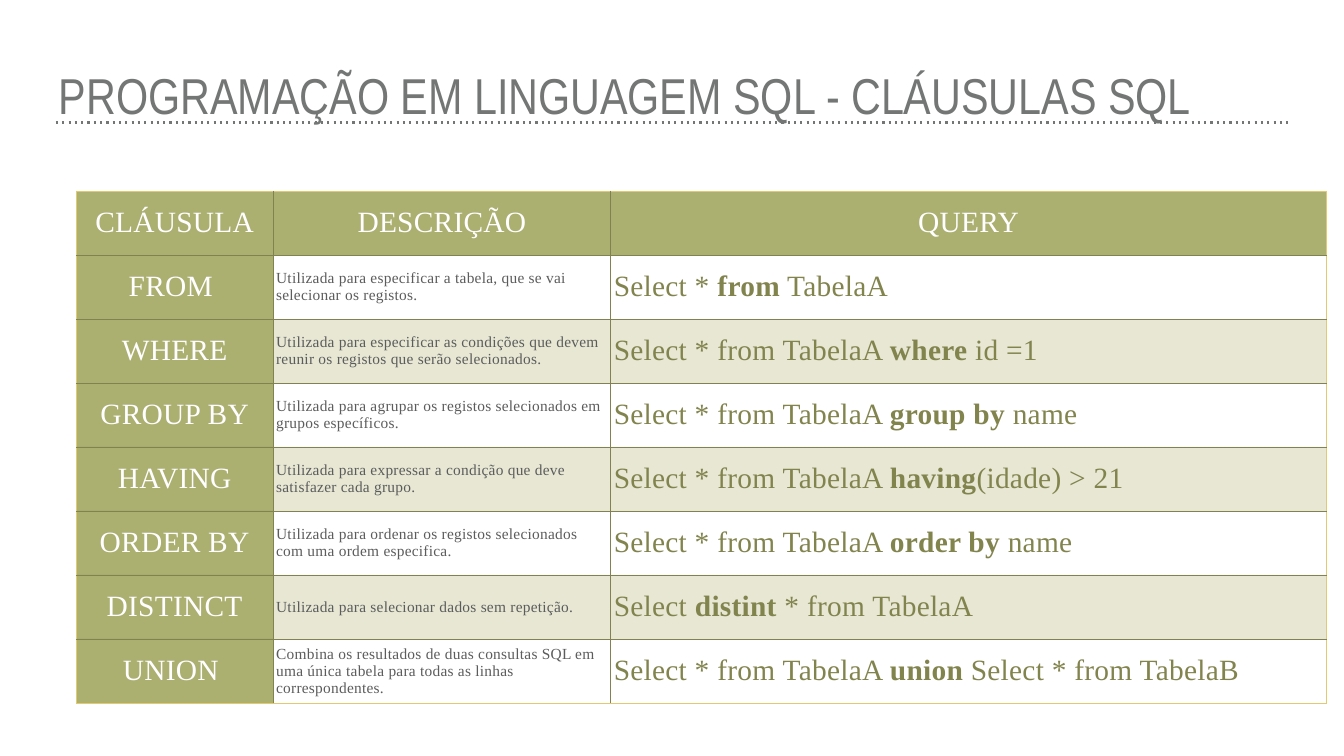
from dataclasses import dataclass

from lxml import etree
from pptx import Presentation
from pptx.dml.color import RGBColor
from pptx.enum import shapes, text
from pptx.oxml import ns
from pptx.util import Emu, Pt

PX = 9144

GREY = RGBColor(0x74, 0x76, 0x76)
WHITE = RGBColor(0xFF, 0xFF, 0xFF)
BODY_GREY = RGBColor(0x5C, 0x5C, 0x5C)
QUERY_GREEN = RGBColor(0x82, 0x84, 0x4E)
HEADER_GREEN = RGBColor(0x8F, 0x95, 0x41)
BAND_GREEN = RGBColor(0xA8, 0xA8, 0x61)
BORDER_OLIVE = RGBColor(0x80, 0x82, 0x51)
BORDER_GOLD = RGBColor(0xE4, 0xC9, 0x73)

TITLE_FONT = "Arial Narrow"
TABLE_FONT = "Times New Roman"
COLUMN_WIDTHS = (391, 670, 1420)
ROW_HEIGHT = 127
INSET = 6


@dataclass(frozen=True)
class Clause:
    name: str
    description: str
    before: str
    keyword: str
    after: str


@dataclass(frozen=True)
class TextStyle:
    size: int
    color: RGBColor
    align: text.PP_ALIGN


HEADINGS = ("CLÁUSULA", "DESCRIÇÃO", "QUERY")
SELECT_A = "Select * from TabelaA "
CLAUSES = (
    Clause("FROM ", "Utilizada para especificar a tabela, que se vai selecionar os registos.",
           "Select * ", "from", " TabelaA"),
    Clause("WHERE", "Utilizada para especificar as condições que devem reunir os registos "
           "que serão selecionados.", SELECT_A, "where ", "id =1"),
    Clause("GROUP BY", "Utilizada para agrupar os registos selecionados em grupos específicos.",
           SELECT_A, "group by ", "name"),
    Clause("HAVING", "Utilizada para expressar a condição que deve satisfazer cada grupo.",
           SELECT_A, "having", "(idade) > 21"),
    Clause("ORDER BY", "Utilizada para ordenar os registos selecionados com uma ordem especifica.",
           SELECT_A, "order by", " name"),
    Clause("DISTINCT", "Utilizada para selecionar dados sem repetição.",
           "Select ", "distint", " * from TabelaA"),
    Clause("UNION ", "Combina os resultados de duas consultas SQL em uma única tabela para "
           "todas as linhas correspondentes.", SELECT_A, "union", " Select * from TabelaB"),
)

HEADER_STYLE = TextStyle(42, WHITE, text.PP_ALIGN.CENTER)
DESCRIPTION_STYLE = TextStyle(22, BODY_GREY, text.PP_ALIGN.LEFT)
QUERY_STYLE = TextStyle(42, QUERY_GREEN, text.PP_ALIGN.LEFT)


def px(length: int) -> Emu:
    return Emu(length * PX)


def add_run(paragraph, content: str, font: str, size: int, color: RGBColor, bold: bool = False):
    run = paragraph.add_run()
    run.text = content
    run.font.name = font
    run.font.size = Pt(size)
    run.font.color.rgb = color
    run.font.bold = bold
    return run


def add_title(slide, content: str) -> None:
    title = slide.shapes.title
    title.left, title.top, title.width, title.height = px(111), px(111), px(2444), px(111)
    frame = title.text_frame
    frame.auto_size = text.MSO_AUTO_SIZE.NONE
    frame.vertical_anchor = text.MSO_ANCHOR.TOP
    frame.margin_left = frame.margin_right = px(INSET)
    frame.margin_top, frame.margin_bottom = px(17), px(0)
    paragraph = frame.paragraphs[0]
    paragraph.alignment = text.PP_ALIGN.LEFT
    add_run(paragraph, content, TITLE_FONT, 72, GREY)


def add_dotted_rule(slide, left: int, right: int, top: int) -> None:
    rule = slide.shapes.add_connector(
        shapes.MSO_CONNECTOR.STRAIGHT, px(left), px(top), px(right), px(top))
    rule.line.color.rgb = GREY
    rule.line.width = Pt(3)
    properties = rule._element.spPr
    dash = etree.SubElement(properties.find(ns.qn("a:ln")), ns.qn("a:custDash"))
    etree.SubElement(dash, ns.qn("a:ds"), d="100000", sp="200000")
    etree.SubElement(properties, ns.qn("a:effectLst"))


def fill_cell(cell, color: RGBColor, opacity: int) -> None:
    cell.fill.solid()
    cell.fill.fore_color.rgb = color
    swatch = cell._tc.tcPr.find(ns.qn("a:solidFill")).find(ns.qn("a:srgbClr"))
    etree.SubElement(swatch, ns.qn("a:alpha"), val=str(opacity * 1000))


def set_borders(cell, outer_edges: dict[str, bool]) -> None:
    properties = cell._tc.get_or_add_tcPr()
    for index, (side, outer) in enumerate(outer_edges.items()):
        border = etree.Element(ns.qn(f"a:ln{side}"), w=str(Pt(1)))
        fill = etree.SubElement(border, ns.qn("a:solidFill"))
        color = BORDER_GOLD if outer else BORDER_OLIVE
        etree.SubElement(fill, ns.qn("a:srgbClr"), val=str(color))
        properties.insert(index, border)


def write_cell(cell, parts: tuple[str, ...], style: TextStyle) -> None:
    cell.vertical_anchor = text.MSO_ANCHOR.MIDDLE
    cell.margin_left = cell.margin_right = cell.margin_top = cell.margin_bottom = px(INSET)
    paragraph = cell.text_frame.paragraphs[0]
    paragraph.alignment = style.align
    for index, part in enumerate(parts):
        run = add_run(paragraph, part, TABLE_FONT, style.size, style.color, index == 1)
        run._r.get_or_add_rPr().set("spc", "40")


def add_clause_table(slide, left: int, top: int) -> None:
    rows = [tuple((heading,) for heading in HEADINGS)]
    rows += [((clause.name,), (clause.description,),
              (clause.before, clause.keyword, clause.after)) for clause in CLAUSES]
    last_row, last_column = len(rows) - 1, len(COLUMN_WIDTHS) - 1
    table = slide.shapes.add_table(
        len(rows), len(COLUMN_WIDTHS), px(left), px(top),
        px(sum(COLUMN_WIDTHS)), px(ROW_HEIGHT * len(rows))).table
    table.first_row = table.horz_banding = False
    for column, width in zip(table.columns, COLUMN_WIDTHS):
        column.width = px(width)
    for row_index, row in enumerate(rows):
        table.rows[row_index].height = px(ROW_HEIGHT)
        for column_index, parts in enumerate(row):
            cell = table.cell(row_index, column_index)
            is_header = row_index == 0 or column_index == 0
            if is_header:
                fill_cell(cell, HEADER_GREEN, 75)
            elif row_index % 2 == 0:
                fill_cell(cell, BAND_GREEN, 27)
            else:
                cell.fill.background()
            body_style = DESCRIPTION_STYLE if column_index == 1 else QUERY_STYLE
            write_cell(cell, parts, HEADER_STYLE if is_header else body_style)
            set_borders(cell, {
                "L": column_index == 0, "R": column_index == last_column,
                "T": row_index == 0, "B": row_index == last_row})


def main() -> None:
    presentation = Presentation()
    presentation.slide_width, presentation.slide_height = px(2667), px(1500)
    slide = presentation.slides.add_slide(presentation.slide_layouts[5])
    add_dotted_rule(slide, 111, 2556, 243)
    add_title(slide, "PROGRAMAÇÃO EM LINGUAGEM SQL - CLÁUSULAS SQL")
    add_clause_table(slide, 151, 379)
    presentation.save("out.pptx")


if __name__ == "__main__":
    main()
